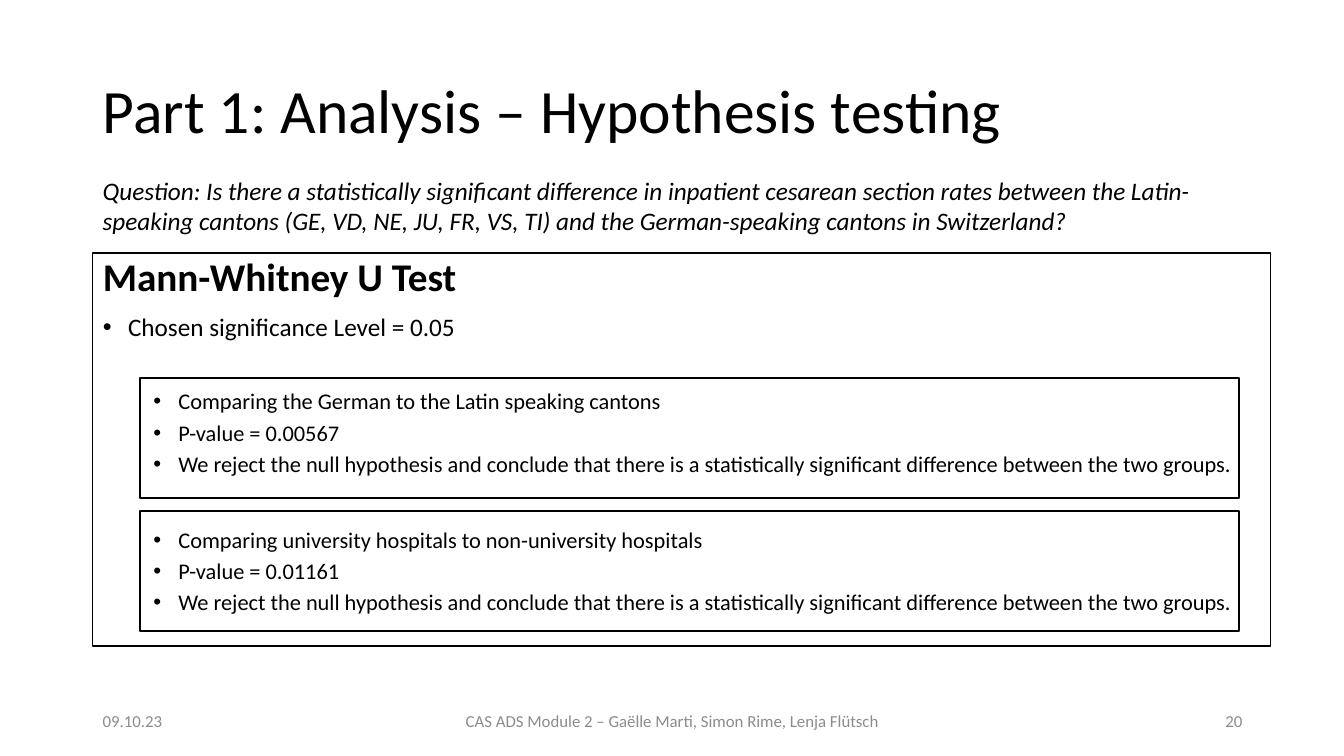
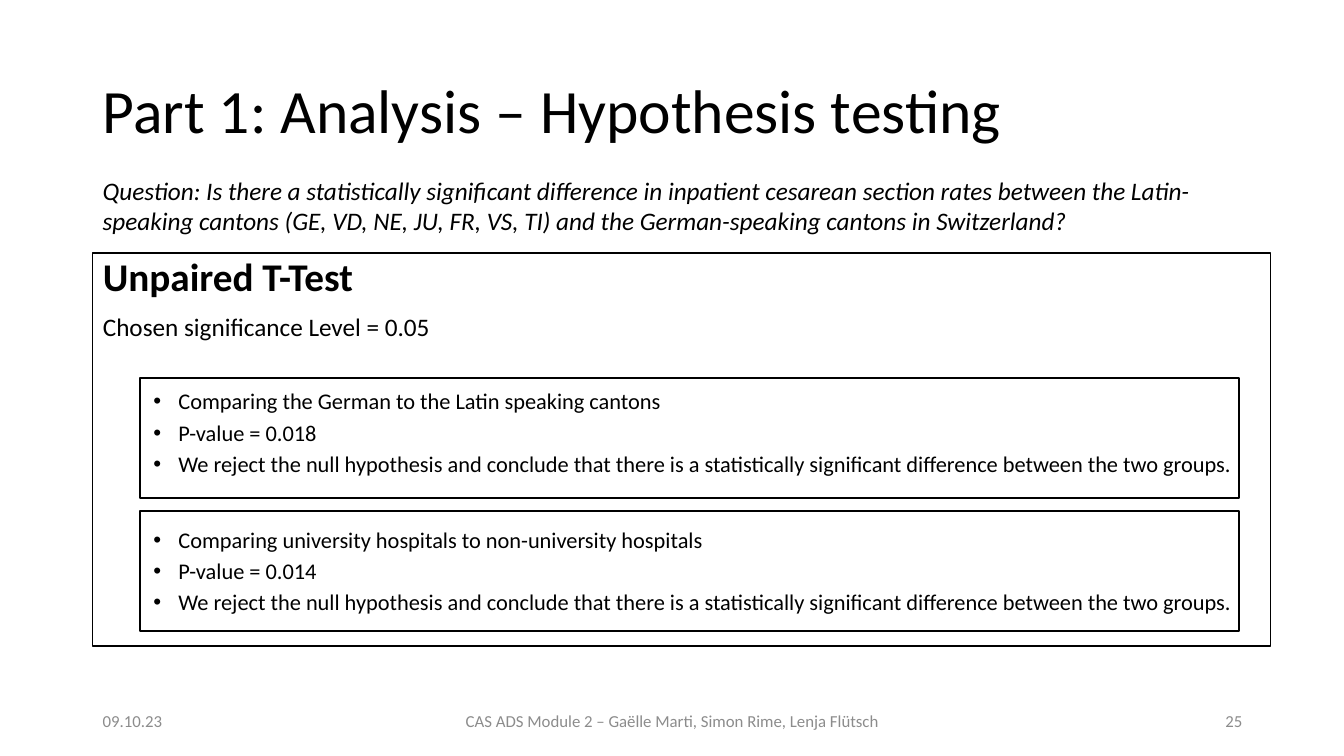
import pptx
import pptx.dml.color
import pptx.enum.shapes
import pptx.enum.text
import pptx.oxml
import pptx.oxml.ns
import pptx.util

Inches = pptx.util.Inches
ALIGN = pptx.enum.text.PP_ALIGN
ANCHOR = pptx.enum.text.MSO_ANCHOR

# Shared style
BLACK = pptx.dml.color.RGBColor(0x00, 0x00, 0x00)
GREY = pptx.dml.color.RGBColor(0x8C, 0x8C, 0x8C)
FONT = "Calibri"
LEFT, WIDTH = 0.92, 11.5

# Shared wording
TITLE = "Part 1: Analysis – Hypothesis testing"
QUESTION = ("Question: Is there a statistically significant difference in inpatient "
            "cesarean section rates between the Latin-speaking cantons (GE, VD, NE, JU, "
            "FR, VS, TI) and the German-speaking cantons in Switzerland?")
LEVEL = "Chosen significance Level = 0.05"
COMPARISONS = ("Comparing the German to the Latin speaking cantons",
               "Comparing university hospitals to non-university hospitals")
CONCLUSION = ("We reject the null hypothesis and conclude that there is a statistically "
              "significant difference between the two groups.")
DATE = "09.10.23"
FOOTER = "CAS ADS Module 2 – Gaëlle Marti, Simon Rime, Lenja Flütsch"


def write(tf, text, size=18, color=BLACK, bold=False, italic=False, align=ALIGN.LEFT,
          line=1.0, before=0, level=0, indent=0, bullet=False):
    """Fill the first paragraph of the frame, or add one after its text."""
    p = tf.add_paragraph() if tf.text else tf.paragraphs[0]
    p.alignment, p.level = align, level
    p.line_spacing = line
    p.space_before, p.space_after = pptx.util.Pt(before), pptx.util.Pt(0)
    r = p.add_run()
    r.text = text
    r.font.name, r.font.size = FONT, pptx.util.Pt(size)
    r.font.bold, r.font.italic = bold, italic
    r.font.color.rgb = color
    # Indent and bullet
    pPr = p._p.get_or_add_pPr()
    pPr.set("marL", str(Inches(indent)))
    pPr.set("indent", str(Inches(-0.25 if bullet else 0)))
    ns = pptx.oxml.ns.nsdecls("a")
    marks = ([f'<a:buFont {ns} typeface="Arial"/>', f'<a:buChar {ns} char="•"/>']
             if bullet else [f"<a:buNone {ns}/>"])
    for mark in marks:
        pPr.append(pptx.oxml.parse_xml(mark))


def place(sp, box, anchor=ANCHOR.TOP):
    """Move a text shape to the box and return its frame."""
    sp.left, sp.top, sp.width, sp.height = map(Inches, box)
    tf = sp.text_frame
    tf.word_wrap = True
    tf.auto_size = pptx.enum.text.MSO_AUTO_SIZE.NONE
    tf.vertical_anchor = anchor
    return tf


def add_text(s, box, text, anchor=ANCHOR.TOP, **style):
    sp = s.shapes.add_textbox(*map(Inches, box))
    write(place(sp, box, anchor), text, **style)


def add_frame(s, box):
    sp = s.shapes.add_shape(pptx.enum.shapes.MSO_SHAPE.RECTANGLE, *map(Inches, box))
    sp.shadow.inherit = False
    sp.fill.background()
    sp.line.color.rgb = BLACK
    sp.line.width = pptx.util.Pt(1)


def add_header(s, box):
    x, y, w, h = box
    write(place(s.shapes.title, (x, y, w, 1.45), ANCHOR.MIDDLE), TITLE, size=44, line=0.9)
    add_text(s, (x, y + h - 0.71, w, 0.71), QUESTION, italic=True)


def add_test(s, box, name, p_values, bullet_level):
    x, y, w, h = box
    # Heading, level and the two groups of results
    tf = place(s.placeholders[1], (x, y, WIDTH, 4.59))
    write(tf, name, size=28, bold=True, line=0.9, before=10)
    write(tf, LEVEL, line=0.9, before=10, bullet=bullet_level,
          indent=0.25 if bullet_level else 0)
    for comparison, p_value, gap in zip(COMPARISONS, p_values, (35, 37)):
        lines = (comparison, f"P-value = {p_value}", CONCLUSION)
        for text, before in zip(lines, (gap, 5, 5)):
            write(tf, text, size=16, line=0.9, before=before, level=1,
                  indent=0.75, bullet=True)
    # Outer frame and one frame for each comparison
    add_frame(s, box)
    for i in range(len(COMPARISONS)):
        add_frame(s, (x + 0.47, y + 1.24 + i * 1.32, w - 0.78, 1.19))


def add_footer(s, box, number):
    x, y, w, h = box
    parts = ((x, 3, DATE, ALIGN.LEFT),
             (x + (w - 4.5) / 2, 4.5, FOOTER, ALIGN.CENTER),
             (x + w - 3, 3, number, ALIGN.RIGHT))
    for left, width, text, align in parts:
        add_text(s, (left, y, width, h), text, anchor=ANCHOR.MIDDLE,
                 size=12, color=GREY, align=align)


def add_test_slide(prs, number, name, p_values, bullet_level):
    s = prs.slides.add_slide(prs.slide_layouts[1])
    add_header(s, (LEFT, 0.4, WIDTH, 2))
    add_test(s, (LEFT, 2.51, 11.68, 3.9), name, p_values, bullet_level)
    add_footer(s, (LEFT, 6.95, WIDTH, 0.4), number)


prs = pptx.Presentation()
prs.slide_width, prs.slide_height = Inches(13.33), Inches(7.5)
add_test_slide(prs, "20", "Mann-Whitney U Test", ("0.00567", "0.01161"), True)
add_test_slide(prs, "25", "Unpaired T-Test", ("0.018", "0.014"), False)
prs.save("out.pptx")
